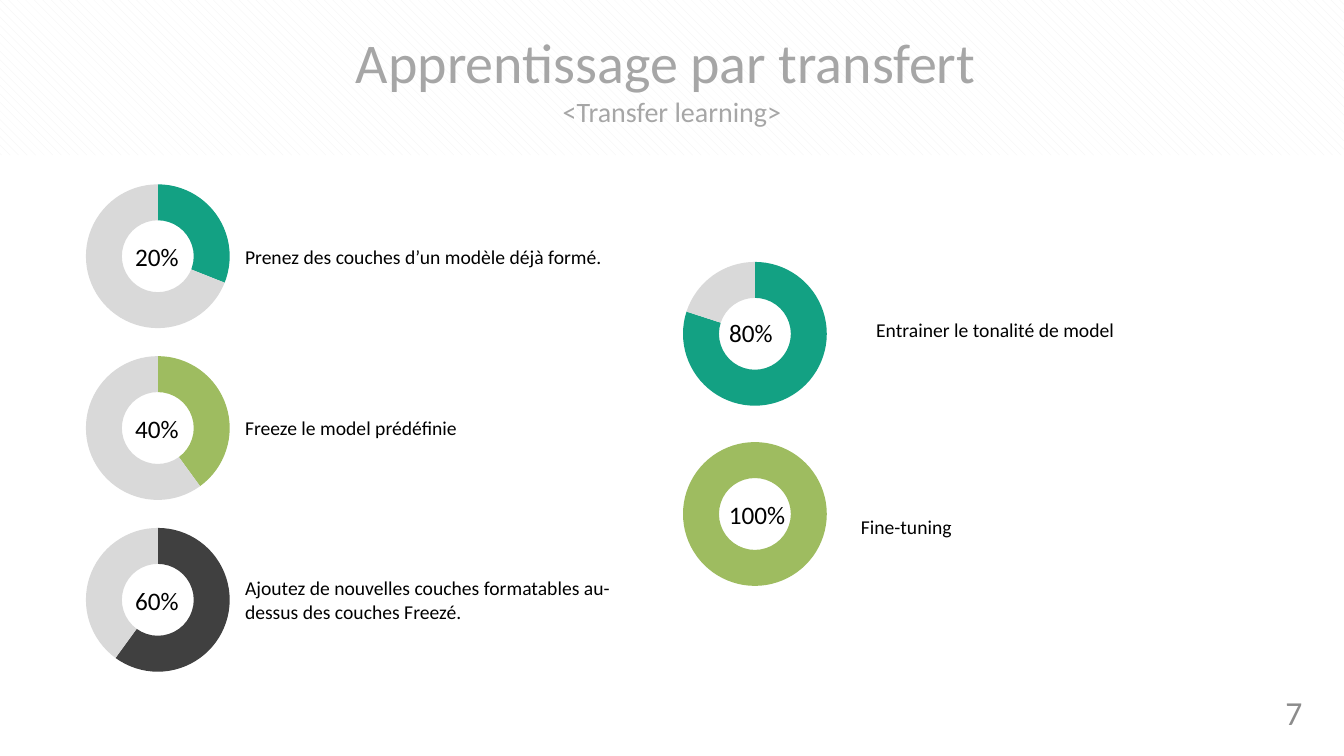
from dataclasses import dataclass

from pptx import Presentation
from pptx.chart.data import CategoryChartData
from pptx.dml.color import RGBColor
from pptx.enum.chart import XL_CHART_TYPE
from pptx.enum.dml import MSO_PATTERN
from pptx.enum.shapes import MSO_SHAPE
from pptx.enum.text import MSO_ANCHOR, MSO_AUTO_SIZE, PP_ALIGN
from pptx.oxml import parse_xml
from pptx.oxml.ns import nsdecls, qn
from pptx.slide import Slide
from pptx.text.text import TextFrame
from pptx.util import Pt

DOUGHNUT = XL_CHART_TYPE.DOUGHNUT
ELLIPSE, RECTANGLE = MSO_SHAPE.OVAL, MSO_SHAPE.RECTANGLE
HATCH = MSO_PATTERN.DASHED_DOWNWARD_DIAGONAL
MIDDLE = MSO_ANCHOR.MIDDLE
FIT = MSO_AUTO_SIZE.SHAPE_TO_FIT_TEXT
LEFT, CENTER, RIGHT = PP_ALIGN.LEFT, PP_ALIGN.CENTER, PP_ALIGN.RIGHT


@dataclass(frozen=True)
class Theme:
    font: str = "Calibri"
    teal: RGBColor = RGBColor(0x13, 0xA1, 0x83)
    green: RGBColor = RGBColor(0x9E, 0xBC, 0x60)
    dark: RGBColor = RGBColor(0x40, 0x40, 0x40)
    rest: RGBColor = RGBColor(0xD9, 0xD9, 0xD9)
    hatch: RGBColor = RGBColor(0xF2, 0xF2, 0xF2)
    title: RGBColor = RGBColor(0xA6, 0xA6, 0xA6)
    number: RGBColor = RGBColor(0x8C, 0x8C, 0x8C)
    black: RGBColor = RGBColor(0, 0, 0)
    white: RGBColor = RGBColor(0xFF, 0xFF, 0xFF)
    title_size: float = 40
    subtitle_size: float = 20
    number_size: float = 24
    percent_size: float = 18
    body_size: float = 14
    chart_size: float = 10


@dataclass(frozen=True)
class Run:
    text: str
    size: float
    color: RGBColor


@dataclass(frozen=True)
class Box:
    left: float
    top: float
    width: float
    height: float

    def emu(self) -> tuple[Pt, Pt, Pt, Pt]:
        return Pt(self.left), Pt(self.top), Pt(self.width), Pt(self.height)


@dataclass(frozen=True)
class Step:
    left: float
    top: float
    value: int
    percent: str
    color: RGBColor
    label: str
    label_left: float
    label_top: float
    disc_dx: float = 5
    disc_dy: float = 4.7
    label_lines: int = 1


THEME = Theme()
RING_W, RING_H, DISC = 125.3, 122.4, 113.8
LEFT_X, RIGHT_X, FIRST_Y, PITCH = 50.1, 476.6, 121.9, 122.7
LABEL_X, LABEL_W, LINE_H = 175, 281.5, 17

STEPS = [
    Step(LEFT_X, FIRST_Y, 31, "20%", THEME.teal,
         "Prenez des couches d’un modèle déjà formé.", LABEL_X, 175),
    Step(LEFT_X, FIRST_Y + PITCH, 40, "40%", THEME.green,
         "Freeze le model prédéfinie", LABEL_X, 297.2),
    Step(LEFT_X, FIRST_Y + 2 * PITCH, 60, "60%", THEME.dark,
         "Ajoutez de nouvelles couches formatables au-dessus des couches Freezé.",
         LABEL_X, 411.3, label_lines=2),
    Step(RIGHT_X, 177.3, 80, "80%", THEME.teal,
         "Entrainer le tonalité de model", 625.8, 226.8, 2.9, 3.6),
    Step(RIGHT_X, 306, 100, "100%", THEME.green,
         "Fine-tuning", 614.9, 367.9, 7.2),
]


def write(tf: TextFrame, runs: list[Run], align: PP_ALIGN) -> None:
    tf.word_wrap = True
    tf.vertical_anchor = MIDDLE
    for i, run in enumerate(runs):
        p = tf.paragraphs[0] if i == 0 else tf.add_paragraph()
        p.alignment = align
        r = p.add_run()
        r.text = run.text
        r.font.name = THEME.font
        r.font.size = Pt(run.size)
        r.font.color.rgb = run.color


def add_label(s: Slide, step: Step) -> None:
    box = Box(step.label_left, step.label_top, LABEL_W, LINE_H * step.label_lines)
    tf = s.shapes.add_textbox(*box.emu()).text_frame
    tf.margin_left = tf.margin_right = tf.margin_top = tf.margin_bottom = 0
    tf.auto_size = FIT
    write(tf, [Run(step.label, THEME.body_size, THEME.black)], LEFT)


def add_disc(s: Slide, step: Step) -> None:
    box = Box(step.left + step.disc_dx, step.top + step.disc_dy, DISC, DISC)
    sp = s.shapes.add_shape(ELLIPSE, *box.emu())
    sp.shadow.inherit = False
    sp.fill.solid()
    sp.fill.fore_color.rgb = THEME.white
    sp.line.fill.background()
    write(sp.text_frame, [Run(step.percent, THEME.percent_size, THEME.black)], CENTER)


def add_ring(s: Slide, step: Step) -> None:
    data = CategoryChartData()
    data.categories = ["1", "2"]
    data.add_series("Series 1", (step.value, 100 - step.value))
    box = Box(step.left, step.top, RING_W, RING_H)
    chart = s.shapes.add_chart(DOUGHNUT, *box.emu(), data).chart
    chart.has_title = chart.has_legend = False
    chart.font.name = THEME.font
    chart.font.size = Pt(THEME.chart_size)
    chart.font.color.rgb = THEME.black
    plot = chart.plots[0]
    plot.has_data_labels = False
    for i, color in enumerate((step.color, THEME.rest)):
        fmt = plot.series[0].points[i].format
        fmt.fill.solid()
        fmt.fill.fore_color.rgb = color
        fmt.line.fill.background()
    root = chart.element
    next(root.iter(qn("c:holeSize"))).set("val", "60")
    area = next(root.iter(qn("c:plotArea")))
    for old in area.findall(qn("c:layout")):
        area.remove(old)
    area.insert(0, parse_xml(
        f'<c:layout {nsdecls("c")}><c:manualLayout><c:layoutTarget val="inner"/>'
        '<c:xMode val="edge"/><c:yMode val="edge"/><c:x val="0.09"/><c:y val="0.08"/>'
        '<c:w val="0.82"/><c:h val="0.84"/></c:manualLayout></c:layout>'))
    root.find(qn("c:chart")).addnext(parse_xml(
        f'<c:spPr {nsdecls("c", "a")}><a:noFill/><a:ln><a:noFill/></a:ln></c:spPr>'))


def add_header(s: Slide) -> None:
    sp = s.shapes.add_shape(RECTANGLE, *Box(0, 0, 960, 110.9).emu())
    sp.shadow.inherit = False
    sp.fill.patterned()
    sp.fill.pattern = HATCH
    sp.fill.fore_color.rgb = THEME.hatch
    sp.fill.back_color.rgb = THEME.white
    sp.line.fill.background()
    write(sp.text_frame, [
        Run("Apprentissage par transfert ", THEME.title_size, THEME.title),
        Run("<Transfer learning>", THEME.subtitle_size, THEME.title),
    ], CENTER)


def add_page_number(s: Slide) -> None:
    tf = s.shapes.add_textbox(*Box(721.4, 494.6, 216, 28.8).emu()).text_frame
    write(tf, [Run("7", THEME.number_size, THEME.number)], RIGHT)


def main() -> None:
    """Build the transfer learning slide."""
    prs = Presentation()
    prs.slide_width, prs.slide_height = Pt(960), Pt(540)
    s = prs.slides.add_slide(prs.slide_layouts[6])
    for step in reversed(STEPS):
        add_disc(s, step)
        add_ring(s, step)
    add_header(s)
    add_page_number(s)
    for step in STEPS:
        add_label(s, step)
    prs.save("out.pptx")


if __name__ == "__main__":
    main()
